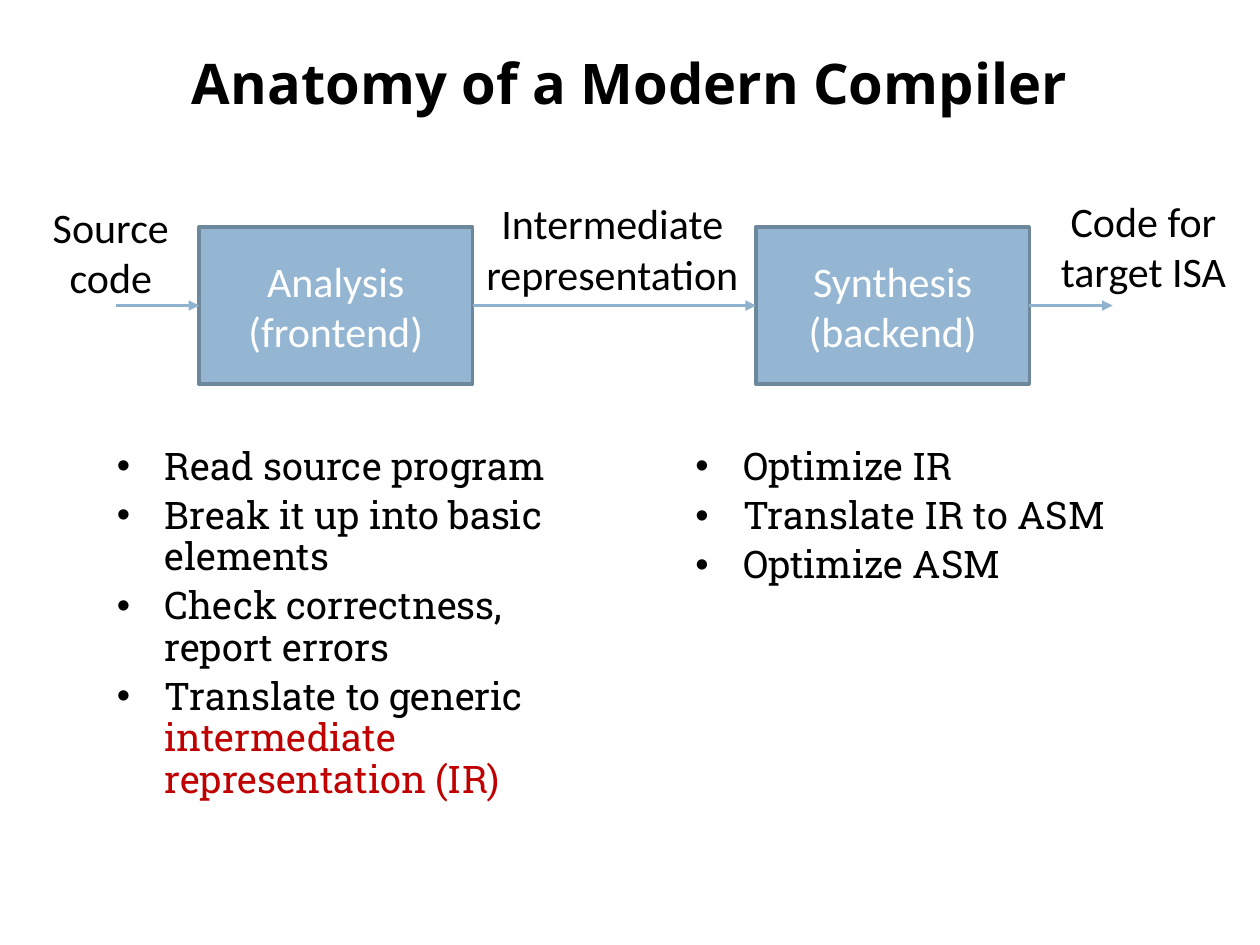
from pptx import Presentation
from pptx import util as u
from pptx.dml.color import RGBColor
from pptx.enum import shapes, text
from pptx.oxml.ns import qn
from lxml import etree

theme = dict(
    ink="000000", white="FFFFFF", accent="C00000",
    box="94B6D2", edge="6D879B", arrow="8FB2CF",
    title=dict(name="Open Sans", size=u.Pt(32), bold=True),
    bullet=dict(name="Roboto Slab", size=u.Pt(21.7)),
    label=dict(name="Calibri", size=u.Pt(24)),
)
I = u.Inches


def write(tf, paras, style, color, align=text.PP_ALIGN.CENTER):
    """Fill a frame; a paragraph is a string or a (plain, accented) pair."""
    for i, para in enumerate(paras):
        plain, accented = (para, None) if isinstance(para, str) else para
        p = tf.paragraphs[0] if i == 0 else tf.add_paragraph()
        p.alignment = align
        p.text = plain
        if accented:
            p.add_run().text = accented
        for r in p.runs:
            for key, value in theme[style].items():
                setattr(r.font, key, value)
            shade = theme["accent"] if r.text == accented else color
            r.font.color.rgb = RGBColor.from_string(shade)


prs = Presentation()
prs.slide_width, prs.slide_height = I(10), I(7.5)
s = prs.slides.add_slide(prs.slide_layouts[5])

# Title
title = s.shapes.title
title.left, title.top, title.width, title.height = I(0.5), I(0.3), I(9), I(0.7)
title.text_frame.vertical_anchor = text.MSO_ANCHOR.MIDDLE
write(title.text_frame, ["Anatomy of a Modern Compiler"], "title", theme["ink"])

# Bullet lists under the two stages
lists = [
    (0.83, 3.83, 3.5, ["Read source program", "Break it up into basic elements",
                       "Check correctness, report errors",
                       ("Translate to generic ", "intermediate representation (IR)")]),
    (5.42, 3.58, 1.75, ["Optimize IR", "Translate IR to ASM", "Optimize ASM"]),
]
for x, w, h, items in lists:
    tf = s.shapes.add_textbox(I(x), I(3.5), I(w), I(h)).text_frame
    tf.word_wrap = True
    write(tf, items, "bullet", theme["ink"], text.PP_ALIGN.LEFT)
    for p in tf.paragraphs:
        p.line_spacing, p.space_before = 0.91, u.Pt(4.3)
        pPr = p._p.get_or_add_pPr()
        pPr.set("marL", str(I(0.38)))
        pPr.set("indent", str(-I(0.38)))
        etree.SubElement(pPr, qn("a:buFont")).set("typeface", "Arial")
        etree.SubElement(pPr, qn("a:buChar")).set("char", "•")

# Compiler stages
box_y, box_w, box_h = 1.8, 2.17, 1.25
stages = [(1.58, ["Analysis", "(frontend)"]), (6, ["Synthesis", "(backend)"])]
for x, lines in stages:
    sp = s.shapes.add_shape(shapes.MSO_SHAPE.RECTANGLE,
                            I(x), I(box_y), I(box_w), I(box_h))
    sp.shadow.inherit = False
    sp.fill.solid()
    sp.fill.fore_color.rgb = RGBColor.from_string(theme["box"])
    sp.line.color.rgb = RGBColor.from_string(theme["edge"])
    sp.line.width = u.Pt(2)
    sp.text_frame.vertical_anchor = text.MSO_ANCHOR.MIDDLE
    write(sp.text_frame, lines, "label", theme["white"])

# Arrows into, between and out of the stages
first, second = (x for x, _ in stages)
mid_y = I(box_y + box_h / 2)
for x1, x2 in [(first + box_w, second), (first - 0.66, first),
               (second + box_w, second + box_w + 0.66)]:
    c = s.shapes.add_connector(shapes.MSO_CONNECTOR.STRAIGHT,
                               I(x1), mid_y, I(x2), mid_y)
    c.line.color.rgb = RGBColor.from_string(theme["arrow"])
    c.line.width = u.Pt(2)
    etree.SubElement(c.line._get_or_add_ln(), qn("a:tailEnd")).set("type", "triangle")
    etree.SubElement(c._element.spPr, qn("a:effectLst"))

# Labels above the arrows
labels = [
    (0.31, 1.55, 1.14, False, ["Source", "code"]),
    (3.76, 1.52, 2.2, False, ["Intermediate\vrepresentation"]),
    (8.15, 1.5, 1.85, True, ["Code for target ISA"]),
]
for x, y, w, wrap, lines in labels:
    tf = s.shapes.add_textbox(I(x), I(y), I(w), I(0.91)).text_frame
    tf.word_wrap = wrap
    tf.auto_size = text.MSO_AUTO_SIZE.SHAPE_TO_FIT_TEXT
    write(tf, lines, "label", theme["ink"])

prs.save("out.pptx")
